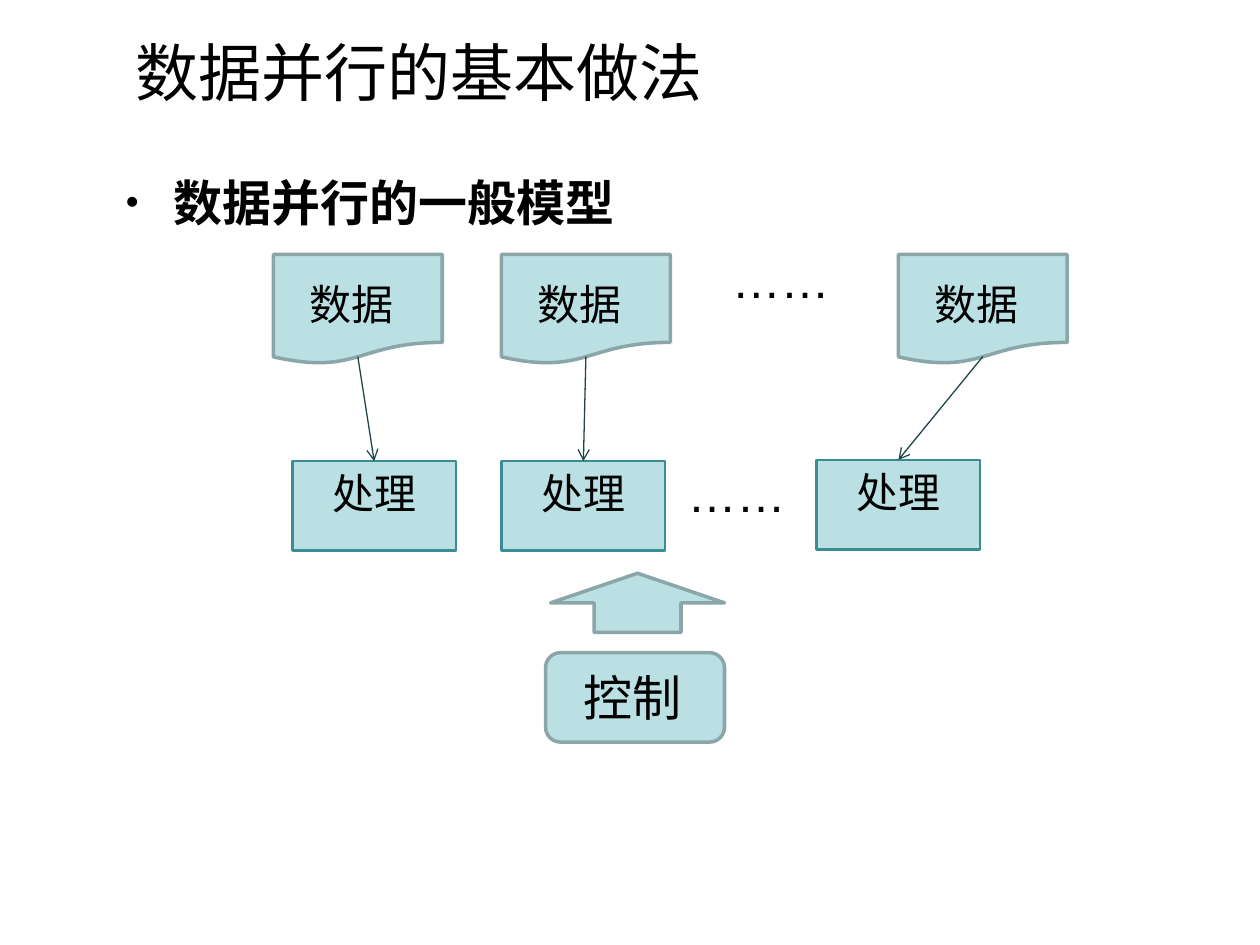
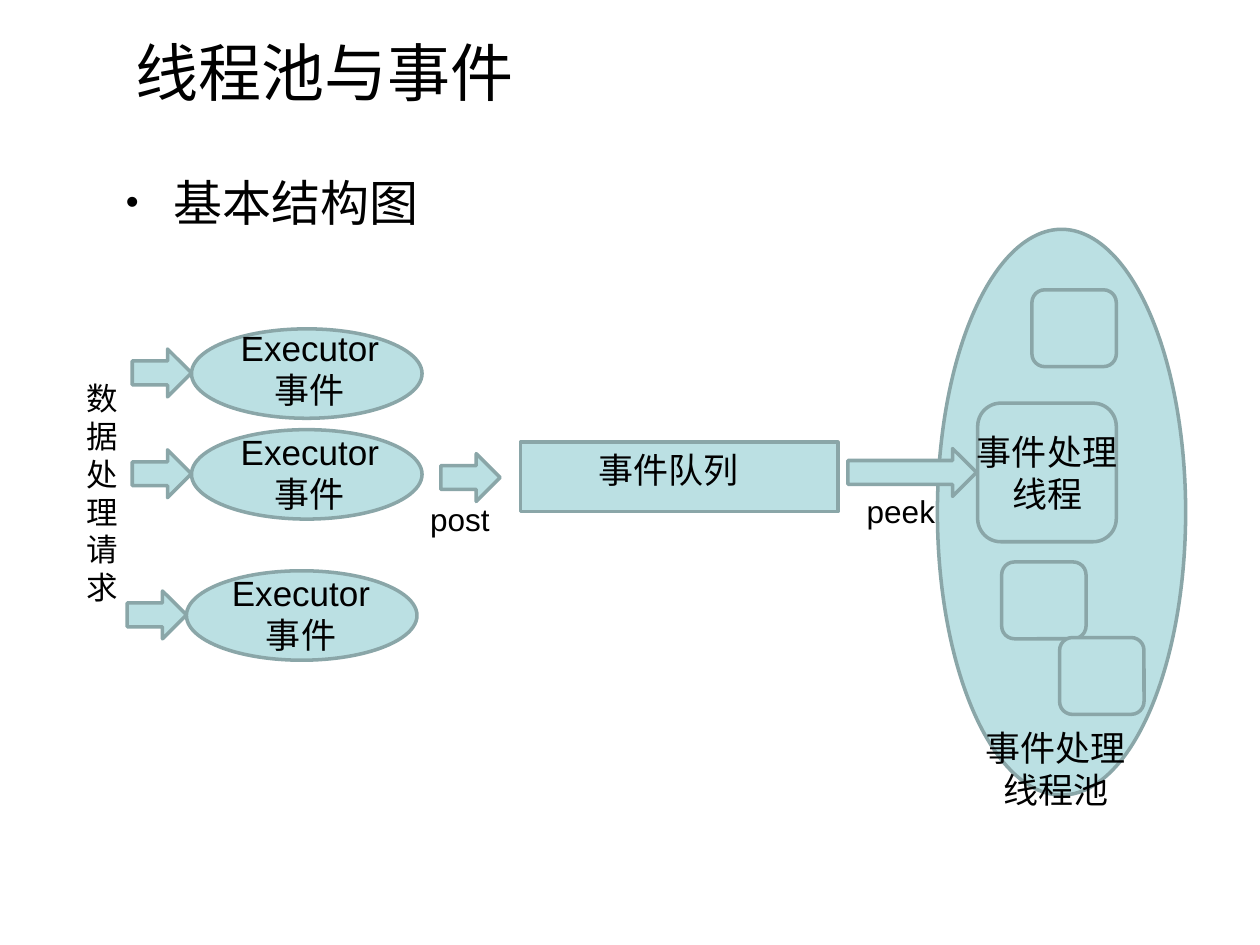
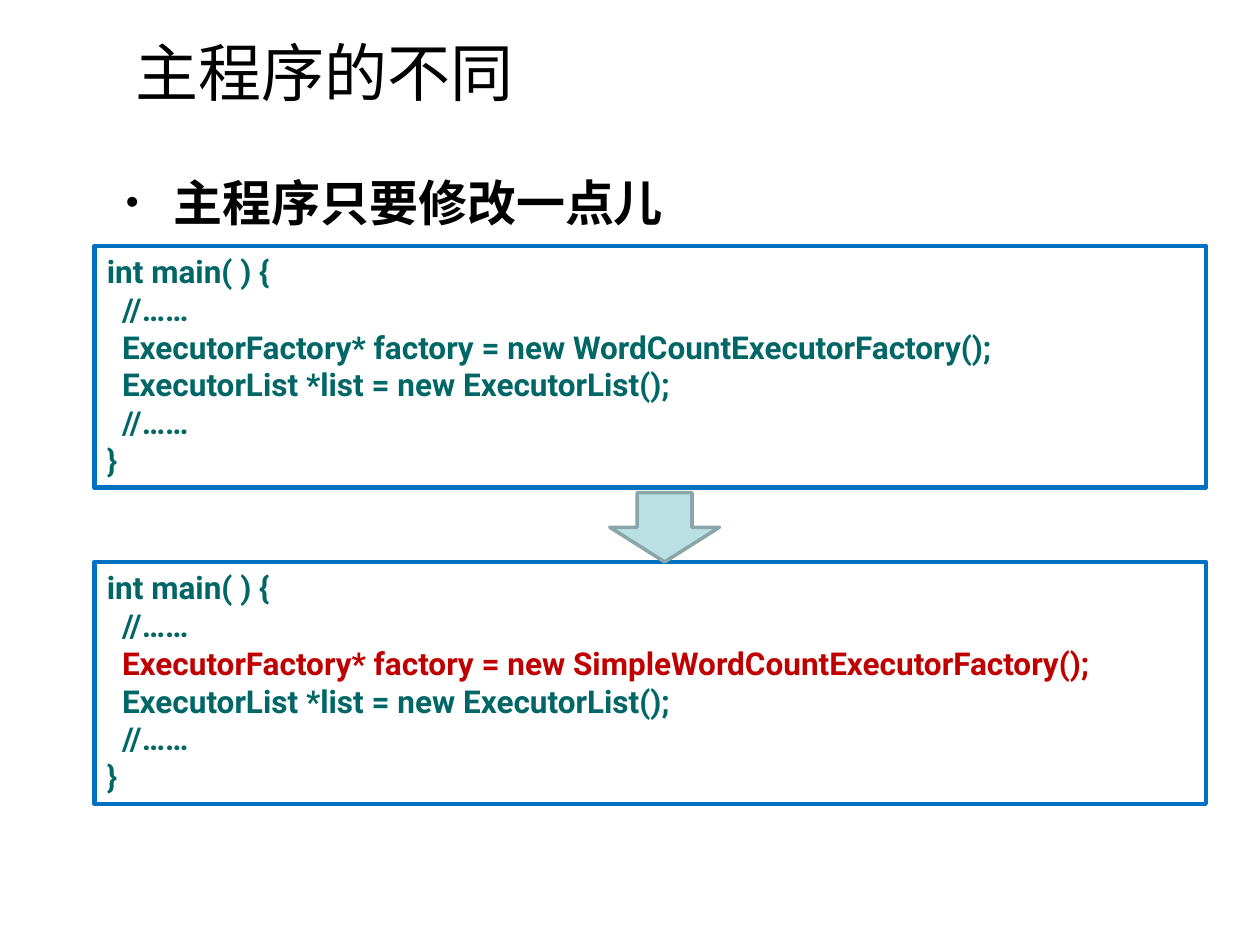
from lxml import etree
from pptx import Presentation
from pptx.dml.color import RGBColor
from pptx.enum import lang, shapes, text
from pptx.oxml import ns
from pptx.util import Inches, Pt

KIND = shapes.MSO_SHAPE
ALIGN = text.PP_ALIGN
ANCHOR = text.MSO_ANCHOR


def color(value):
    return RGBColor.from_string(value)


def add_xml(parent, tag, **attributes):
    return etree.SubElement(parent, ns.qn(tag), attributes)


class Deck:
    FONT = "Arial"
    CODE_FONT = "Roboto"
    INK = "000000"
    PALE = "BBE0E3"
    EDGE = "8AA6A8"
    PROCESS_EDGE = "3C8C93"
    ARROW_INK = "1E4649"
    CODE_EDGE = "0070C0"
    CODE_INK = "006666"
    CHANGED_INK = "C00000"
    CODE_INDENT = 0.12

    def __init__(self):
        self.prs = Presentation()
        self.prs.slide_width = Inches(10)
        self.prs.slide_height = Inches(7.5)
        self.slide = None

    def new_slide(self, title, point, bold=False):
        self.slide = self.prs.slides.add_slide(self.prs.slide_layouts[6])
        heading = self.label(title, 0.98, 0.13, 9.29, 0.87, 36, grow=False)
        heading.text_frame.vertical_anchor = ANCHOR.MIDDLE
        body = self.label(point, 0.9, 1.23, 8.66, 5.75, 28, bold=bold, grow=False)
        paragraph = body.text_frame.paragraphs[0]
        paragraph.line_spacing = 1.2
        paragraph.space_before = Pt(6)
        properties = paragraph._p.get_or_add_pPr()
        properties.set("marL", str(Inches(0.38)))
        properties.set("indent", str(Inches(-0.38)))
        add_xml(properties, "a:buSzPct", val="75000")
        add_xml(properties, "a:buFont", typeface=self.FONT)
        add_xml(properties, "a:buChar", char="•")

    def style(self, paragraph, size, ink=INK, font=FONT, bold=False, align=ALIGN.LEFT):
        paragraph.alignment = align
        for run in paragraph.runs:
            run.font.name = font
            run.font.size = Pt(size)
            run.font.bold = bold
            run.font.color.rgb = color(ink)
            run.font.language_id = lang.MSO_LANGUAGE_ID.SIMPLIFIED_CHINESE

    def label(self, words, left, top, width, height, size,
              align=ALIGN.LEFT, bold=False, grow=True):
        box = self.slide.shapes.add_textbox(
            Inches(left), Inches(top), Inches(width), Inches(height))
        frame = box.text_frame
        frame.word_wrap = True
        frame.text = words
        if grow:
            frame.auto_size = text.MSO_AUTO_SIZE.SHAPE_TO_FIT_TEXT
        self.style(frame.paragraphs[0], size, bold=bold, align=align)
        return box

    def figure(self, kind, left, top, width, height, fill=PALE, edge=EDGE, weight=2):
        figure = self.slide.shapes.add_shape(
            kind, Inches(left), Inches(top), Inches(width), Inches(height))
        figure.shadow.inherit = False
        if fill:
            figure.fill.solid()
            figure.fill.fore_color.rgb = color(fill)
        else:
            figure.fill.background()
        figure.line.color.rgb = color(edge)
        figure.line.width = Pt(weight)
        return figure

    def document(self, left, top):
        self.figure(KIND.FLOWCHART_DOCUMENT, left, top, 1.34, 0.87)
        self.label("数据", left + 0.19, top + 0.14, 0.94, 0.5, 24)

    def process(self, left, top):
        process = self.figure(KIND.RECTANGLE, left, top, 1.3, 0.71,
                              edge=self.PROCESS_EDGE, weight=1.5)
        process.text_frame.text = "处理"
        process.text_frame.vertical_anchor = ANCHOR.TOP
        self.style(process.text_frame.paragraphs[0], 24, align=ALIGN.CENTER)
        return process

    def arrow_to(self, target, left, top):
        arrow = self.slide.shapes.add_connector(
            shapes.MSO_CONNECTOR.STRAIGHT, Inches(left), Inches(top),
            target.left + target.width // 2, target.top)
        arrow.end_connect(target, 0)
        arrow.line.color.rgb = color(self.ARROW_INK)
        arrow.line.width = Pt(0.75)
        add_xml(arrow.line._get_or_add_ln(), "a:tailEnd", type="arrow")
        add_xml(arrow._element.spPr, "a:effectLst")

    def executor(self, left, top, label_left, label_top):
        self.figure(KIND.RIGHT_ARROW, left, top + 0.16, 0.47, 0.38)
        self.figure(KIND.OVAL, left + 0.47, top, 1.83, 0.71)
        self.label("Executor\v事件", label_left, label_top, 2.36, 0.77, 20, ALIGN.CENTER)

    def code(self, top, statement, ink=CODE_INK):
        listing = self.figure(KIND.RECTANGLE, 0.75, top, 8.82, 1.92,
                              fill=None, edge=self.CODE_EDGE, weight=2.5)
        frame = listing.text_frame
        frame.word_wrap = True
        frame.vertical_anchor = ANCHOR.TOP
        frame.auto_size = text.MSO_AUTO_SIZE.SHAPE_TO_FIT_TEXT
        inner = ["//……", statement, "ExecutorList *list = new ExecutorList();", "//……"]
        frame.text = "\n".join(["int main( ) {", *inner, "}"])
        for paragraph in frame.paragraphs:
            line_ink = ink if paragraph.text == statement else self.CODE_INK
            self.style(paragraph, 18, line_ink, self.CODE_FONT, bold=True)
            if paragraph.text in inner:
                paragraph._p.get_or_add_pPr().set("marL", str(Inches(self.CODE_INDENT)))


def data_parallel(deck):
    deck.new_slide("数据并行的基本做法", "数据并行的一般模型", bold=True)
    document_lefts = [2.17, 3.98, 7.13]
    for left in document_lefts:
        deck.document(left, 2.02)
    deck.label("……", 5.71, 1.93, 1.1, 0.57, 28)
    processes = [deck.process(left, top)
                 for left, top in [(2.32, 3.66), (3.98, 3.66), (6.48, 3.65)]]
    deck.label("……", 5.36, 3.63, 1.1, 0.57, 28)
    deck.figure(KIND.ROUNDED_RECTANGLE, 4.33, 5.18, 1.42, 0.71)
    deck.label("控制", 4.53, 5.25, 1.1, 0.57, 28)
    deck.figure(KIND.UP_ARROW, 4.37, 4.55, 1.38, 0.47)
    for left, process in zip(document_lefts, processes):
        deck.arrow_to(process, left + 0.67, 2.83)


def thread_pool(deck):
    deck.new_slide("线程池与事件", "基本结构图")
    deck.figure(KIND.RECTANGLE, 4.13, 3.51, 2.52, 0.55)
    deck.label("事件队列", 4.13, 3.51, 2.36, 0.44, 20, ALIGN.CENTER)
    deck.label("数据处理请求", 0.59, 2.96, 0.39, 1.92, 18)
    for place in [(1.05, 2.61, 1.28, 2.54), (1.05, 3.41, 1.28, 3.37),
                  (1.01, 4.53, 1.21, 4.49)]:
        deck.executor(*place)
    deck.figure(KIND.RIGHT_ARROW, 3.5, 3.6, 0.47, 0.38)
    deck.figure(KIND.OVAL, 7.44, 1.82, 1.97, 4.49)
    deck.label("事件处理\v线程池", 7.2, 5.72, 2.36, 0.77, 20, ALIGN.CENTER)
    deck.figure(KIND.ROUNDED_RECTANGLE, 7.76, 3.2, 1.1, 1.1)
    deck.label("事件处理\v线程", 7.6, 3.37, 1.42, 0.77, 20, ALIGN.CENTER)
    deck.figure(KIND.RIGHT_ARROW, 6.73, 3.56, 1.02, 0.38)
    for left, top in [(7.95, 4.46), (8.41, 5.06), (8.19, 2.3)]:
        deck.figure(KIND.ROUNDED_RECTANGLE, left, top, 0.67, 0.61)
    for action, left, top in [("post", 3, 3.92), ("peek", 6.5, 3.86)]:
        deck.label(action, left, top, 1.3, 0.4, 18, ALIGN.CENTER)


def main_program(deck):
    deck.new_slide("主程序的不同", "主程序只要修改一点儿", bold=True)
    deck.code(1.95, "ExecutorFactory* factory = new WordCountExecutorFactory();")
    deck.code(4.46, "ExecutorFactory* factory = new SimpleWordCountExecutorFactory();",
              deck.CHANGED_INK)
    deck.figure(KIND.DOWN_ARROW, 4.84, 3.91, 0.87, 0.55)


def main():
    deck = Deck()
    data_parallel(deck)
    thread_pool(deck)
    main_program(deck)
    deck.prs.save("out.pptx")


if __name__ == "__main__":
    main()
